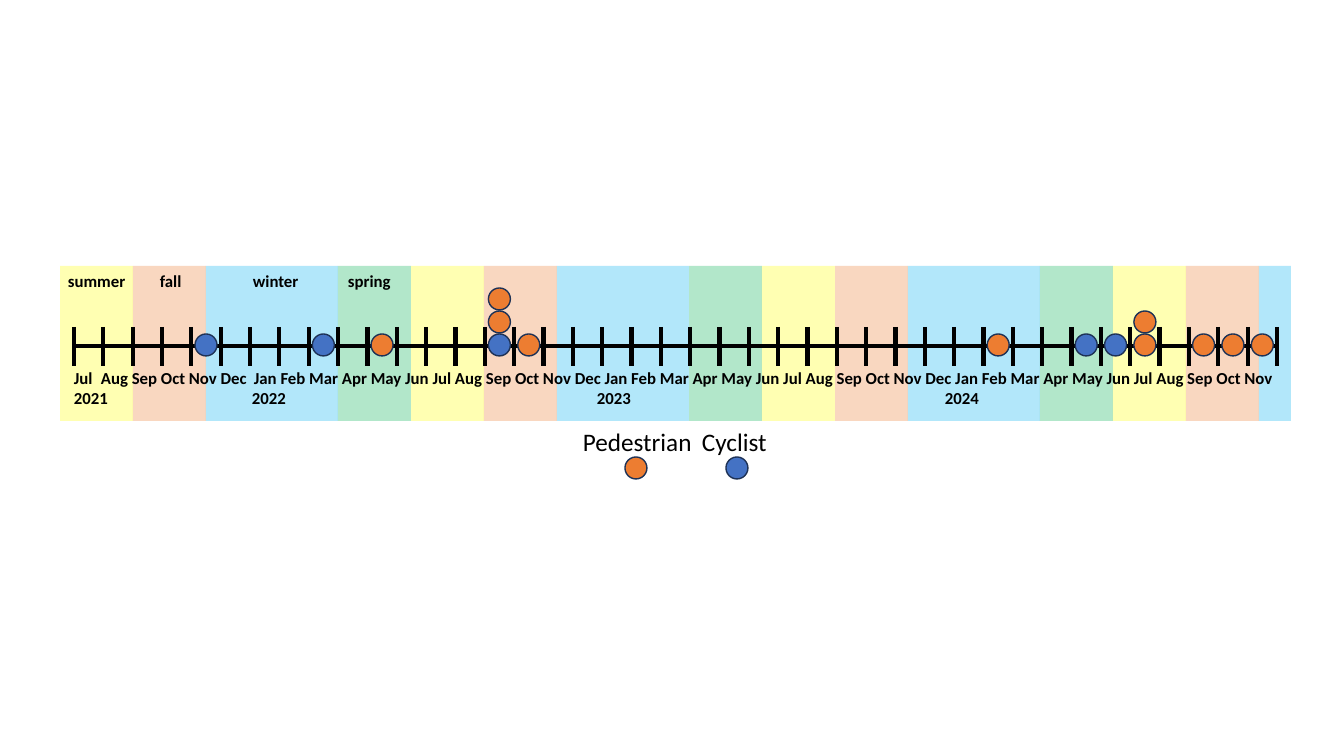
from dataclasses import dataclass
from itertools import accumulate, cycle, islice

from lxml import etree
from pptx import Presentation
from pptx import util as u
from pptx.dml.color import RGBColor
from pptx.enum import shapes, text
from pptx.oxml.ns import qn


@dataclass(frozen=True)
class Theme:
    font: str = "Calibri"
    label_pt: int = 12
    legend_pt: int = 18
    axis_pt: int = 3
    ink: str = "000000"
    dot_line: str = "1E3256"
    pedestrian: str = "ED7D31"
    cyclist: str = "4472C4"
    summer: str = "FFFF00"
    fall: str = "ED7D31"
    winter: str = "00B0F0"
    spring: str = "00B050"
    band_alpha: int = 30


THEME = Theme()
PX_PER_INCH = 100.8
INSET = 10

AXIS_LEFT, AXIS_RIGHT, AXIS_Y = 74, 1277, 346
TICK_TOP, TICK_BOTTOM = 327, 366
MONTH_COUNT = 41
DOT, DOT_Y, STACK_STEP = 22, 345, 23
BAND_LEFT, BAND_RIGHT, BAND_TOP, BAND_HEIGHT = 60, 1291, 266, 155
SEASONS = [(THEME.summer, 73), (THEME.fall, 73), (THEME.winter, 132), (THEME.spring, 73)]
BAND_COUNT = 15

YEAR = "Jan Feb Mar Apr May Jun Jul Aug Sep Oct Nov"
MONTHS = f"Jul\tAug Sep Oct Nov Dec\t{YEAR} Dec {YEAR} Dec {YEAR}"

# Months counted from July 2021, each with its dots from the axis upwards
P, C = THEME.pedestrian, THEME.cyclist
INCIDENTS = {
    4: [C], 8: [C], 10: [P], 14: [C, P, P], 15: [P], 31: [P],
    34: [C], 35: [C], 36: [P, P], 38: [P], 39: [P], 40: [P],
}


def px(n):
    return u.Emu(round(n * 914400 / PX_PER_INCH))


def rgb(color):
    return RGBColor.from_string(color)


def month_x(month):
    return AXIS_LEFT + (AXIS_RIGHT - AXIS_LEFT) * month / MONTH_COUNT


def add_filled(s, kind, box, color):
    sp = s.shapes.add_shape(kind, *map(px, box))
    sp.shadow.inherit = False
    sp.fill.solid()
    sp.fill.fore_color.rgb = rgb(color)
    return sp


def add_band(s, x, width, color):
    sp = add_filled(s, shapes.MSO_SHAPE.RECTANGLE, (x, BAND_TOP, width, BAND_HEIGHT), color)
    sp.line.fill.background()
    srgb = next(sp.element.spPr.iter(qn("a:srgbClr")))
    etree.SubElement(srgb, qn("a:alpha"), val=str(THEME.band_alpha * 1000))


def add_dot(s, x, y, color):
    """Draw a dot centred on x, y."""
    box = (x - DOT / 2, y - DOT / 2, DOT, DOT)
    sp = add_filled(s, shapes.MSO_SHAPE.OVAL, box, color)
    sp.line.color.rgb = rgb(THEME.dot_line)
    sp.line.width = u.Pt(1)


def add_line(s, x1, y1, x2, y2):
    ln = s.shapes.add_connector(shapes.MSO_CONNECTOR.STRAIGHT, *map(px, (x1, y1, x2, y2)))
    ln.line.color.rgb = rgb(THEME.ink)
    ln.line.width = u.Pt(THEME.axis_pt)
    etree.SubElement(ln.element.spPr, qn("a:effectLst"))


def add_label(s, box, wording, stops, size=THEME.label_pt, bold=True):
    """Write one line whose tabs go to the given slide x positions."""
    tf = s.shapes.add_textbox(*map(px, box)).text_frame
    tf.word_wrap = True
    tf.auto_size = text.MSO_AUTO_SIZE.SHAPE_TO_FIT_TEXT
    p = tf.paragraphs[0]
    p.text = wording
    p.font.name = THEME.font
    p.font.size = u.Pt(size)
    p.font.bold = bold
    p.font.color.rgb = rgb(THEME.ink)
    tabs = etree.Element(qn("a:tabLst"))
    for x in stops:
        etree.SubElement(tabs, qn("a:tab"), pos=str(px(x - box[0] - INSET)), algn="l")
    p._p.get_or_add_pPr().insert(0, tabs)


def add_seasons(s):
    bands = list(islice(cycle(SEASONS), BAND_COUNT))
    lefts = accumulate((width for _, width in bands), initial=BAND_LEFT)
    for x, (color, width) in zip(lefts, bands):
        add_band(s, x, min(width, BAND_RIGHT - x), color)


def add_axis(s):
    for month in range(MONTH_COUNT + 1):
        x = month_x(month)
        add_line(s, x, TICK_TOP, x, TICK_BOTTOM)
    add_line(s, AXIS_LEFT, AXIS_Y, AXIS_RIGHT, AXIS_Y)


def add_incidents(s):
    for month, colors in INCIDENTS.items():
        for level, color in enumerate(colors):
            add_dot(s, month_x(month + 0.5), DOT_Y - level * STACK_STEP, color)


def add_legend(s):
    add_dot(s, 737, 468, THEME.cyclist)
    add_dot(s, 636, 468, THEME.pedestrian)
    add_label(s, (573, 421, 220, 40), "Pedestrian\tCyclist", [702], THEME.legend_pt, False)


def main():
    prs = Presentation()
    prs.slide_width, prs.slide_height = px(1344), px(756)
    s = prs.slides.add_slide(prs.slide_layouts[6])
    add_seasons(s)
    add_label(s, (64, 363, 1262, 30), MONTHS, [101, 254])
    add_axis(s)
    add_label(s, (64, 383, 976, 30), "2021\t2022\t2023\t2024", [252, 597, 945])
    add_incidents(s)
    add_legend(s)
    add_label(s, (58, 266, 349, 30), "summer\tfall\twinter\tspring", [160, 253, 348])
    prs.save("out.pptx")


if __name__ == "__main__":
    main()
